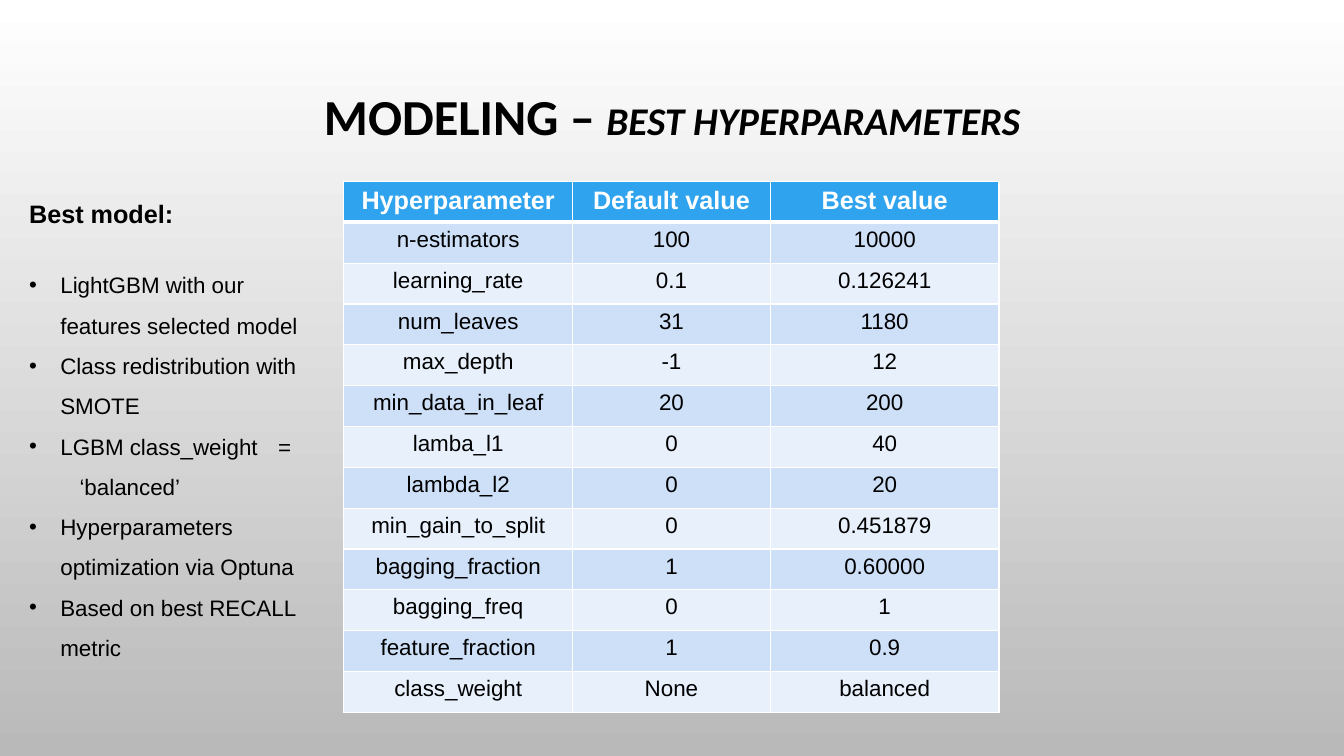
from dataclasses import dataclass

from lxml import etree
from pptx import Presentation
from pptx.dml.color import RGBColor
from pptx.enum.text import MSO_ANCHOR, PP_ALIGN
from pptx.oxml.ns import qn
from pptx.util import Inches, Pt

CENTER = PP_ALIGN.CENTER
MIDDLE = MSO_ANCHOR.MIDDLE

BLACK = RGBColor(0x00, 0x00, 0x00)
WHITE = RGBColor(0xFF, 0xFF, 0xFF)
GRAY = RGBColor(0xB9, 0xB9, 0xB9)
HEADER_BLUE = RGBColor(0x2F, 0xA3, 0xEE)
BAND_BLUES = (RGBColor(0xCD, 0xE0, 0xF8), RGBColor(0xE8, 0xF0, 0xFC))

COLUMN_WIDTHS = (2.27, 1.96, 2.27)
ROW_HEIGHT = 5.27 / 13
HANGING_INDENT = 0.31


@dataclass(frozen=True)
class TextStyle:
    size: float
    font: str = "Arial"
    color: RGBColor = BLACK
    bold: bool = False
    italic: bool = False


@dataclass(frozen=True)
class Point:
    text: str
    bullet: bool = True
    indent: float = HANGING_INDENT
    tab: float = 0
    space_before: float = 0


TITLE = TextStyle(36, "Calibri", bold=True)
SUBTITLE = TextStyle(28, "Calibri", bold=True, italic=True)
HEADING = TextStyle(18, bold=True)
TABLE_HEADER = TextStyle(18, color=WHITE, bold=True)
BODY = TextStyle(16)

ROWS = (
    ("Hyperparameter", "Default value", "Best value"),
    ("n-estimators", "100", "10000"),
    ("learning_rate", "0.1", "0.126241"),
    ("num_leaves", "31", "1180"),
    ("max_depth", "-1", "12"),
    ("min_data_in_leaf", "20", "200"),
    ("lamba_l1", "0", "40"),
    ("lambda_l2", "0", "20"),
    ("min_gain_to_split", "0", "0.451879"),
    ("bagging_fraction", "1", "0.60000"),
    ("bagging_freq", "0", "1"),
    ("feature_fraction", "1", "0.9"),
    ("class_weight", "None", "balanced"),
)

POINTS = (
    Point("LightGBM with our features selected model", space_before=21),
    Point("Class redistribution with SMOTE"),
    Point("LGBM class_weight\t=", tab=2.47),
    Point("‘balanced’", bullet=False, indent=0.5),
    Point("Hyperparameters optimization via Optuna"),
    Point("Based on best RECALL metric"),
)


def add_run(paragraph, text: str, style: TextStyle) -> None:
    run = paragraph.add_run()
    run.text = text
    font = run.font
    font.name = style.font
    font.size = Pt(style.size)
    font.bold = style.bold
    font.italic = style.italic
    font.color.rgb = style.color


def add_text_frame(slide, left: float, top: float, width: float, height: float):
    shape = slide.shapes.add_textbox(
        Inches(left), Inches(top), Inches(width), Inches(height))
    shape.text_frame.word_wrap = True
    return shape.text_frame


def add_point(text_frame, point: Point) -> None:
    paragraph = text_frame.add_paragraph()
    properties = paragraph._p.get_or_add_pPr()
    properties.set("marL", str(Inches(point.indent)))
    if point.bullet:
        properties.set("indent", str(-Inches(HANGING_INDENT)))
        etree.SubElement(properties, qn("a:buFont"), typeface="Arial")
        etree.SubElement(properties, qn("a:buChar"), char="•")
    if point.tab:
        tabs = etree.SubElement(properties, qn("a:tabLst"))
        etree.SubElement(tabs, qn("a:tab"), pos=str(Inches(point.tab)), algn="l")
    paragraph.line_spacing = 1.5
    paragraph.space_before = Pt(point.space_before)
    add_run(paragraph, point.text, BODY)


def add_borders(cell, bottom_width: float, top_width: float) -> None:
    properties = cell._tc.get_or_add_tcPr()
    widths = {"lnL": 1, "lnR": 1, "lnT": top_width, "lnB": bottom_width}
    for side, width in widths.items():
        line = etree.SubElement(properties, qn(f"a:{side}"), w=str(Pt(width)))
        fill = etree.SubElement(line, qn("a:solidFill"))
        etree.SubElement(fill, qn("a:srgbClr"), val=str(WHITE))


def add_hyperparameter_table(slide) -> None:
    table = slide.shapes.add_table(
        len(ROWS), len(COLUMN_WIDTHS), Inches(3.41), Inches(1.8),
        Inches(sum(COLUMN_WIDTHS)), Inches(ROW_HEIGHT * len(ROWS))).table
    for column, width in zip(table.columns, COLUMN_WIDTHS):
        column.width = Inches(width)
    for row_index, values in enumerate(ROWS):
        is_header = row_index == 0
        color = HEADER_BLUE if is_header else BAND_BLUES[(row_index - 1) % 2]
        for column_index, value in enumerate(values):
            cell = table.cell(row_index, column_index)
            add_borders(cell, 3 if is_header else 1, 3 if row_index == 1 else 1)
            cell.fill.solid()
            cell.fill.fore_color.rgb = color
            paragraph = cell.text_frame.paragraphs[0]
            paragraph.alignment = CENTER
            add_run(paragraph, value, TABLE_HEADER if is_header else BODY)


def main() -> None:
    presentation = Presentation()
    presentation.slide_width = Inches(13.33)
    presentation.slide_height = Inches(7.5)
    slide = presentation.slides.add_slide(presentation.slide_layouts[6])

    # Background fading downwards
    background = slide.background.fill
    background.gradient()
    background.gradient_angle = 270
    for stop, color in zip(background.gradient_stops, (WHITE, GRAY)):
        stop.color.rgb = color

    # Title
    title_frame = add_text_frame(slide, 1, 0.68, 11.33, 1)
    title_frame.vertical_anchor = MIDDLE
    title = title_frame.paragraphs[0]
    title.alignment = CENTER
    title.line_spacing = 0.9
    add_run(title, "MODELING – ", TITLE)
    add_run(title, "BEST HYPERPARAMETERS", SUBTITLE)

    # Table of values
    add_hyperparameter_table(slide)

    # Best model summary
    summary_frame = add_text_frame(slide, 0.19, 1.92, 2.98, 5.15)
    add_run(summary_frame.paragraphs[0], "Best model:", HEADING)
    for point in POINTS:
        add_point(summary_frame, point)

    presentation.save("out.pptx")


if __name__ == "__main__":
    main()
